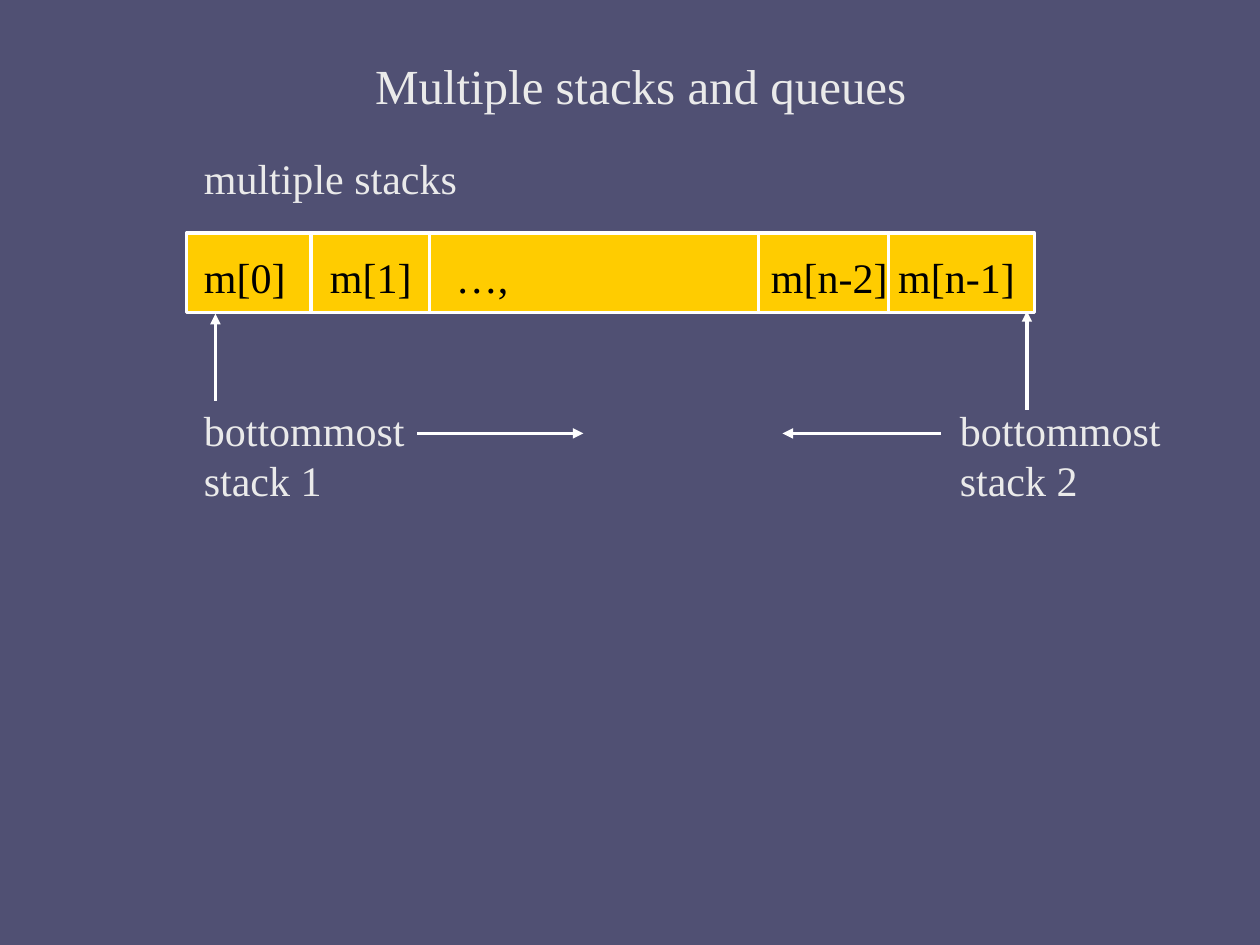
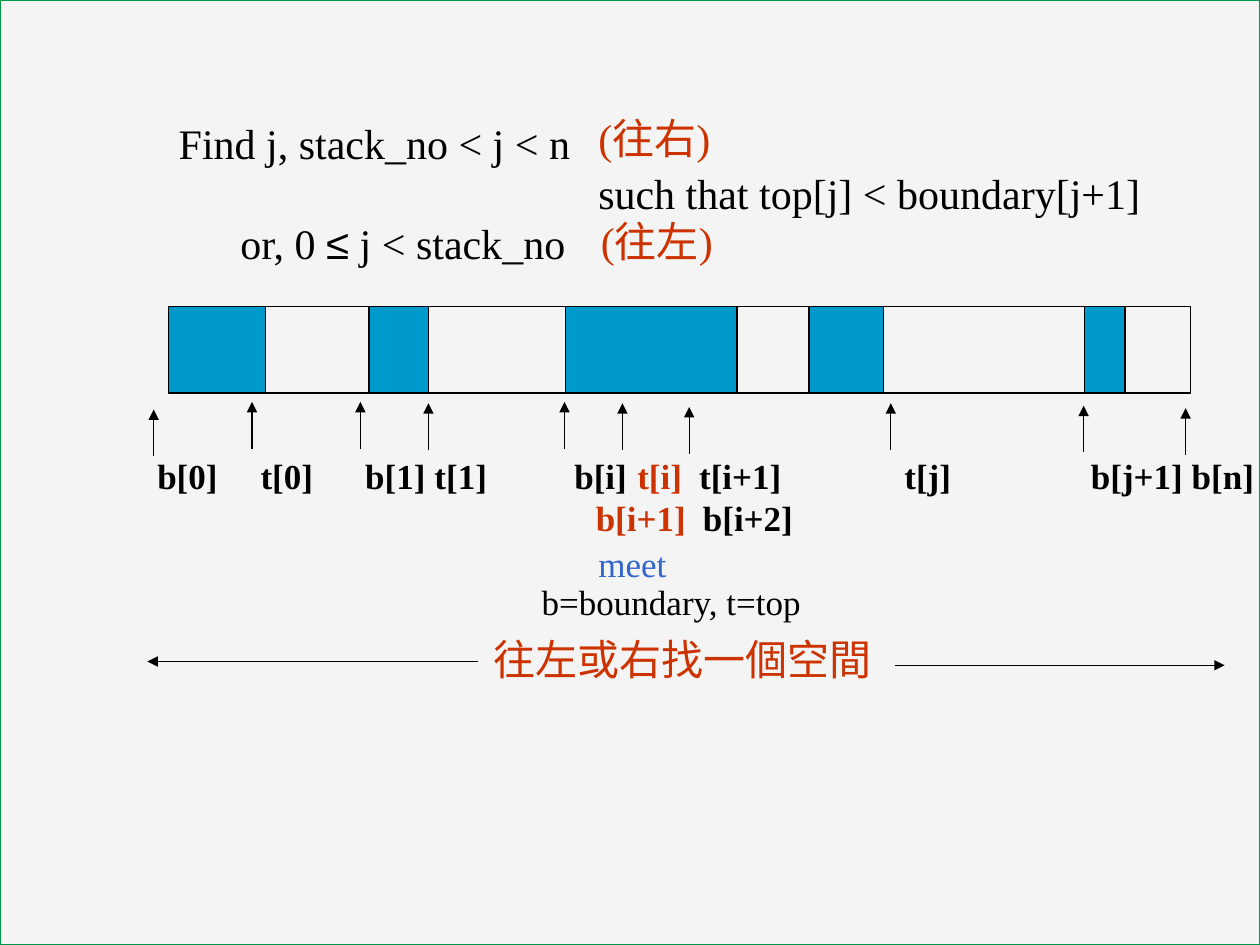
from lxml.etree import SubElement
from pptx import Presentation
from pptx.dml.color import RGBColor
from pptx.enum.shapes import MSO_CONNECTOR, MSO_SHAPE
from pptx.enum.text import PP_ALIGN
from pptx.oxml.ns import qn
from pptx.util import Inches, Pt

BLACK = RGBColor(0x00, 0x00, 0x00)
WHITE = RGBColor(0xFF, 0xFF, 0xFF)
PALE = RGBColor(0xEA, 0xEA, 0xEA)
SLATE = RGBColor(0x50, 0x50, 0x73)
LILAC = RGBColor(0xA3, 0xA3, 0xC2)
PAPER = RGBColor(0xF4, 0xF4, 0xF4)
GREEN = RGBColor(0x00, 0x95, 0x49)
GOLD = RGBColor(0xFF, 0xCC, 0x00)
TEAL = RGBColor(0x00, 0x99, 0xCC)
RED = RGBColor(0xCC, 0x33, 0x00)
BLUE = RGBColor(0x33, 0x66, 0xCC)

SERIF = "Times New Roman"
BODY = {"size": Pt(24), "name": SERIF, "bold": False}
TITLE = BODY | {"size": Pt(28)}
SMALL = BODY | {"size": Pt(20)}
MARK = SMALL | {"bold": True}
FRAME = {
    "margin_left": Inches(0.1),
    "margin_right": Inches(0.1),
    "margin_top": Inches(0.05),
    "margin_bottom": Inches(0.05),
    "word_wrap": False,
}
PITCH = 0.4


def apply(target, values):
    for key, value in values.items():
        setattr(target, key, value)


def add_page(deck, color):
    page = deck.slides.add_slide(deck.slide_layouts[6])
    page.background.fill.solid()
    page.background.fill.fore_color.rgb = color
    return page


def add_text(page, left, top, width, lines, color, style=BODY, align=PP_ALIGN.LEFT):
    rows = [[(line, SERIF)] if isinstance(line, str) else line for line in lines]
    height = len(rows) * style["size"].inches * 1.2 + 0.1
    box = page.shapes.add_textbox(
        Inches(left), Inches(top), Inches(width), Inches(height))
    frame = box.text_frame
    apply(frame, FRAME)
    for i, row in enumerate(rows):
        para = frame.add_paragraph() if i else frame.paragraphs[0]
        para.alignment = align
        for text, face in row:
            run = para.add_run()
            run.text = text
            apply(run.font, style | {"name": face})
            run.font.color.rgb = color


def add_box(page, left, top, width, height, fill, line, weight):
    box = page.shapes.add_shape(
        MSO_SHAPE.RECTANGLE, Inches(left), Inches(top), Inches(width), Inches(height))
    box.shadow.inherit = False
    if fill is None:
        box.fill.background()
    else:
        box.fill.solid()
        box.fill.fore_color.rgb = fill
    box.line.color.rgb = line
    box.line.width = Pt(weight)


def add_line(page, start, end, color, weight, arrow=True):
    line = page.shapes.add_connector(
        MSO_CONNECTOR.STRAIGHT, *map(Inches, (*start, *end)))
    line.line.color.rgb = color
    line.line.width = Pt(weight)
    if arrow:
        SubElement(line.line._get_or_add_ln(), qn("a:tailEnd"), type="triangle")
    SubElement(line._element.spPr, qn("a:effectLst"))


def draw_stacks(deck):
    page = add_page(deck, SLATE)
    add_box(page, 1.48, 1.85, 6.73, 0.63, GOLD, WHITE, 2)
    add_text(page, 2.78, 0.39, 4.61, ["Multiple stacks and queues"],
             PALE, TITLE, PP_ALIGN.CENTER)
    add_text(page, 1.52, 1.16, 2.4, ["multiple stacks"], PALE)
    cells = [(1.52, "m[0]"), (2.52, "m[1]"), (3.52, "…,"),
             (6.02, "m[n-2]"), (7.03, "m[n-1]")]
    for left, text in cells:
        add_text(page, left, 1.95, 1.25, [text], BLACK)
    for left, name in ((1.52, "stack 1"), (7.52, "stack 2")):
        add_text(page, left, 3.16, 1.9, ["bottommost", name], PALE)
    arrows = [((3.31, 3.44), (4.63, 3.44)), ((7.47, 3.44), (6.21, 3.44)),
              ((1.71, 3.18), (1.71, 2.49)), ((8.15, 3.25), (8.15, 2.47))]
    for start, end in arrows:
        add_line(page, start, end, WHITE, 2)
    for x in (2.47, 3.41, 6.02, 7.05):
        add_line(page, (x, 1.86), (x, 2.49), WHITE, 2, arrow=False)


def draw_search(deck):
    page = add_page(deck, LILAC)
    add_box(page, 0, 0, 10, 7.5, PAPER, GREEN, 1)
    add_box(page, 1.36, 2.43, 8.09, 0.69, None, BLACK, 0.75)
    bars = [(1.34, 0.77), (2.93, 0.47), (4.49, 1.36), (6.42, 0.59), (8.61, 0.32)]
    for left, width in bars:
        add_box(page, left, 2.43, width, 0.69, TEAL, BLACK, 0.75)
    tips = [(1.22, 3.25), (2, 3.19), (2.86, 3.19), (3.4, 3.2), (4.48, 3.19),
            (4.94, 3.2), (5.47, 3.23), (7.07, 3.2), (8.6, 3.22), (9.41, 3.24)]
    for x, y in tips:
        add_line(page, (x, y + 0.37), (x, y), BLACK, 0.75)

    marks = [(1.15, "b[0]"), (1.97, "t[0]"), (2.8, "b[1]"), (3.35, "t[1]"),
             (4.46, "b[i]"), (4.96, "t[i]"), (5.45, "t[i+1]"), (7.08, "t[j]"),
             (8.56, "b[j+1]"), (9.36, "b[n]")]
    below = [(4.63, "b[i+1]"), (5.48, "b[i+2]")]
    for top, row in ((3.56, marks), (3.89, below)):
        for left, text in row:
            color = RED if text in ("t[i]", "b[i+1]") else BLACK
            add_text(page, left, top, 0.26 + 0.12 * len(text), [text], color, MARK)
    add_text(page, 4.2, 4.56, 2.4, ["b=boundary, t=top"], BLACK, SMALL)
    add_text(page, 4.6, 4.26, 0.84, ["meet"], BLUE, SMALL, PP_ALIGN.CENTER)

    bound = [("or, 0 ", SERIF), ("≤", "Arial"), (" j < stack_no", SERIF)]
    rules = [(1.32, "Find j, stack_no < j < n"),
             (4.65, "such that top[j] < boundary[j+1]"), (1.81, bound)]
    for i, (left, line) in enumerate(rules):
        add_text(page, left, 0.88 + i * PITCH, 4.6, [line], BLACK)
    add_text(page, 4.65, 0.84, 1.25, ["(往右)"], RED)
    add_text(page, 4.67, 1.66, 1.25, ["(往左)"], RED)

    add_line(page, (3.79, 5.25), (1.17, 5.25), BLACK, 0.75)
    add_line(page, (7.1, 5.28), (9.72, 5.28), BLACK, 0.75)
    add_text(page, 3.82, 4.98, 3.2, ["往左或右找一個空間"],
             RED, BODY, PP_ALIGN.CENTER)


def main():
    deck = Presentation()
    apply(deck, {"slide_width": Inches(10), "slide_height": Inches(7.5)})
    draw_stacks(deck)
    draw_search(deck)
    deck.save("out.pptx")


if __name__ == "__main__":
    main()
